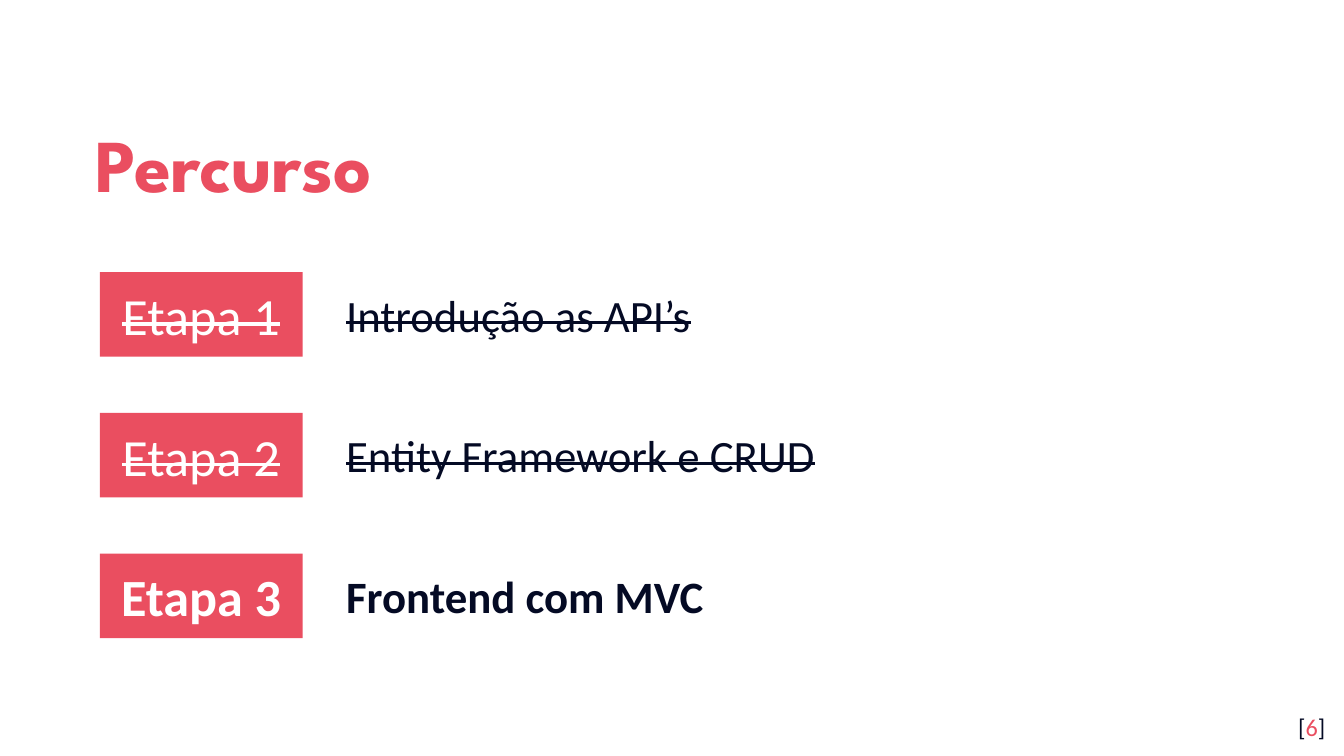
from dataclasses import dataclass

from pptx import Presentation
from pptx.dml.color import RGBColor
from pptx.enum.shapes import MSO_SHAPE
from pptx.enum.text import MSO_ANCHOR, PP_ALIGN
from pptx.shapes.autoshape import Shape
from pptx.util import Pt

RECTANGLE = MSO_SHAPE.RECTANGLE
TOP, MIDDLE = MSO_ANCHOR.TOP, MSO_ANCHOR.MIDDLE
LEFT, CENTER, RIGHT = PP_ALIGN.LEFT, PP_ALIGN.CENTER, PP_ALIGN.RIGHT


@dataclass(frozen=True)
class Theme:
    coral: RGBColor = RGBColor(0xEA, 0x4E, 0x60)
    navy: RGBColor = RGBColor(0x04, 0x0A, 0x24)
    white: RGBColor = RGBColor(0xFF, 0xFF, 0xFF)
    heading_font: str = "League Spartan"
    body_font: str = "Calibri"
    title_size: float = 53.3
    label_size: float = 37.3
    topic_size: float = 32
    page_size: float = 17.3
    inset: float = 9.6


@dataclass(frozen=True)
class Stage:
    label: str
    topic: str
    done: bool


THEME = Theme()
STAGES = [
    Stage("Etapa 1", "Introdução as API’s", True),
    Stage("Etapa 2", "Entity Framework e CRUD", True),
    Stage("Etapa 3", "Frontend com MVC", False),
]
STAGE_TOP, STAGE_PITCH = 194.4, 100.5
LABEL_LEFT, LABEL_WIDTH, LABEL_HEIGHT = 71.3, 144.9, 60.4
TOPIC_LEFT, TOPIC_WIDTH, TOPIC_HEIGHT = 237.6, 660, 48.2
TOPIC_INDENT = 48


def write(box: Shape, *pieces: tuple[str, RGBColor], size: float,
          font: str = THEME.body_font, bold: bool = False, strike: bool = False,
          align: PP_ALIGN = LEFT, anchor: MSO_ANCHOR = TOP,
          inset_y: float = THEME.inset, spacing: float = 1.0,
          hanging: float = 0) -> None:
    """Fill a shape with one paragraph made of coloured pieces."""
    frame = box.text_frame
    frame.word_wrap = True
    frame.vertical_anchor = anchor
    frame.margin_left = frame.margin_right = Pt(THEME.inset)
    frame.margin_top = frame.margin_bottom = Pt(inset_y)
    paragraph = frame.paragraphs[0]
    paragraph.alignment = align
    paragraph.line_spacing = spacing
    if hanging:
        properties = paragraph._p.get_or_add_pPr()
        properties.set("marL", str(Pt(hanging)))
        properties.set("indent", str(-Pt(hanging)))
    for text, color in pieces:
        run = paragraph.add_run()
        run.text = text
        run.font.name = font
        run.font.size = Pt(size)
        run.font.bold = bold
        run.font.color.rgb = color
        if strike:
            run._r.get_or_add_rPr().set("strike", "sngStrike")


def draw_stage(stage: Stage, top: float) -> None:
    """Draw a coral label with its topic centred beside it."""
    label = slide.shapes.add_shape(
        RECTANGLE, Pt(LABEL_LEFT), Pt(top), Pt(LABEL_WIDTH), Pt(LABEL_HEIGHT))
    label.shadow.inherit = False
    label.fill.solid()
    label.fill.fore_color.rgb = THEME.coral
    label.line.fill.background()
    write(label, (stage.label, THEME.white), size=THEME.label_size,
          bold=not stage.done, strike=stage.done, align=CENTER, anchor=MIDDLE)

    topic_top = top + (LABEL_HEIGHT - TOPIC_HEIGHT) / 2
    topic = slide.shapes.add_textbox(
        Pt(TOPIC_LEFT), Pt(topic_top), Pt(TOPIC_WIDTH), Pt(TOPIC_HEIGHT))
    write(topic, (stage.topic, THEME.navy), size=THEME.topic_size,
          bold=not stage.done, strike=stage.done,
          inset_y=THEME.inset / 2, hanging=TOPIC_INDENT)


deck = Presentation()
deck.slide_width, deck.slide_height = Pt(960), Pt(540)
slide = deck.slides.add_slide(deck.slide_layouts[6])
slide.background.fill.solid()
slide.background.fill.fore_color.rgb = THEME.white

# Title
title = slide.shapes.add_textbox(Pt(59), Pt(67), Pt(778), Pt(88.5))
write(title, ("Percurso", THEME.coral), size=THEME.title_size,
      font=THEME.heading_font, bold=True, anchor=MIDDLE, spacing=1.15)

# Stages
for row, stage in enumerate(STAGES):
    draw_stage(stage, STAGE_TOP + row * STAGE_PITCH)

# Page number
page = slide.shapes.add_textbox(Pt(898.6), Pt(499), Pt(57.6), Pt(41))
write(page, ("[", THEME.navy), ("6", THEME.coral), ("]", THEME.navy),
      size=THEME.page_size, align=RIGHT)

deck.save("out.pptx")
